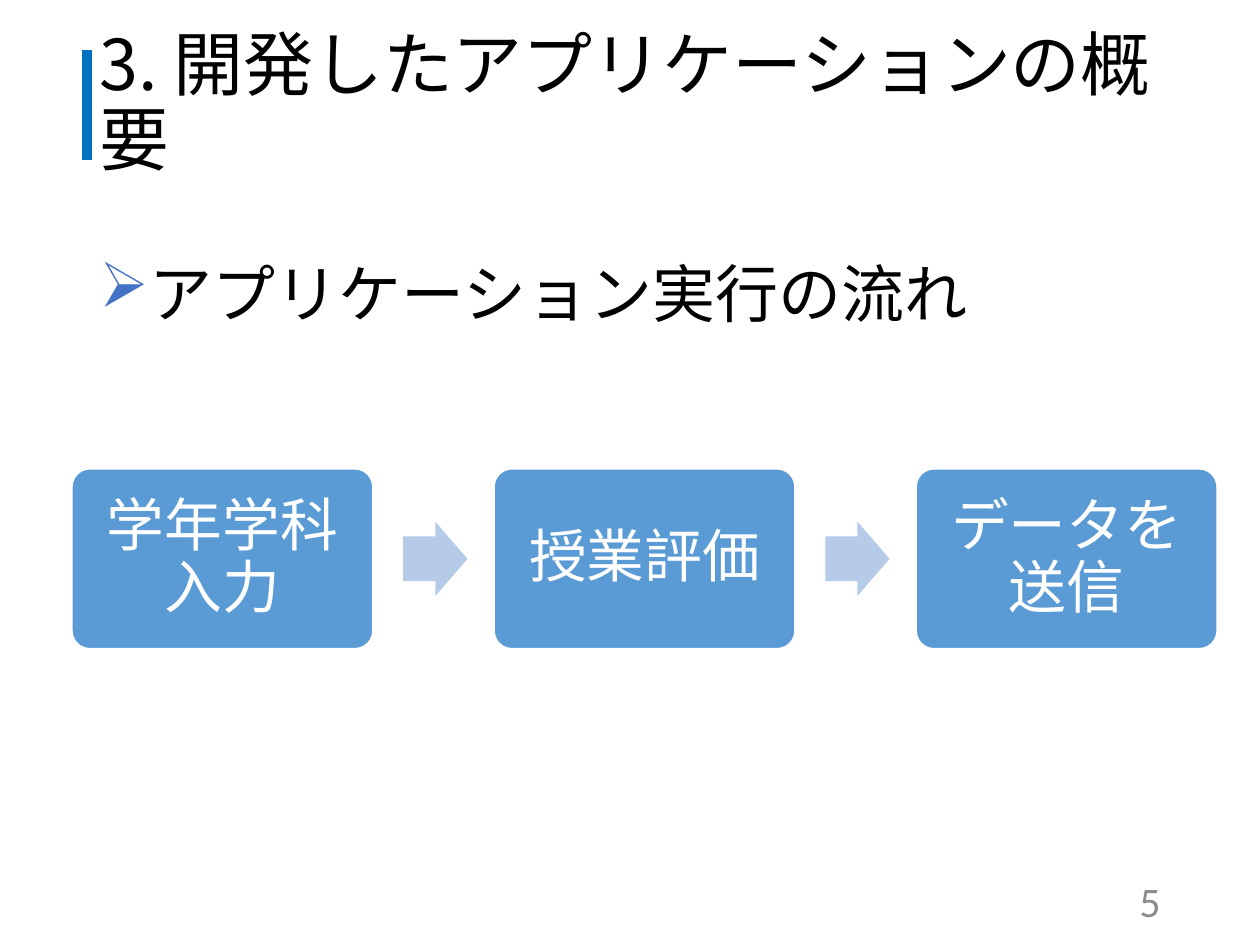
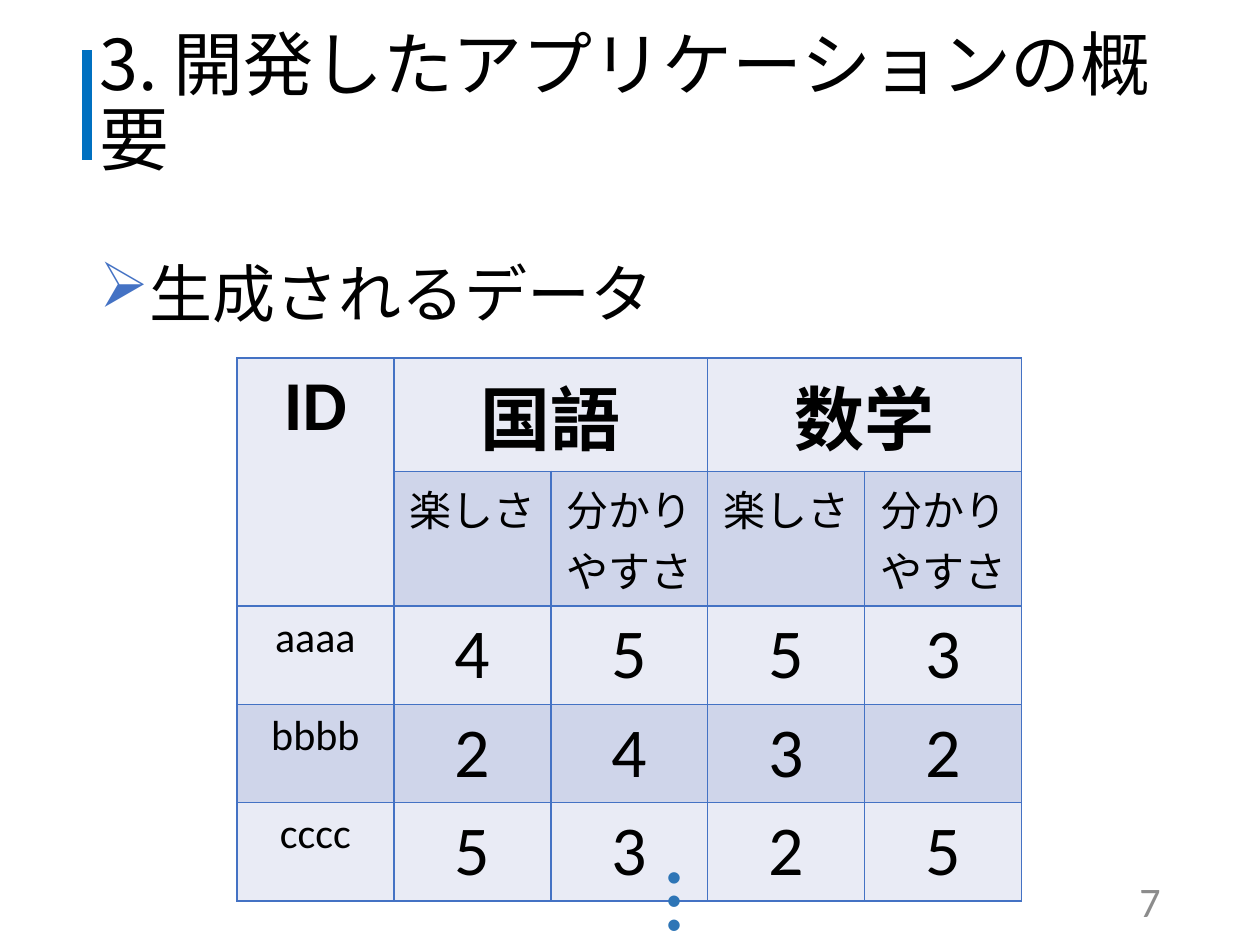
from lxml.etree import SubElement
from pptx import Presentation
from pptx.dml.color import RGBColor
from pptx.enum.shapes import MSO_CONNECTOR as Connector, MSO_SHAPE as Shape
from pptx.enum.text import MSO_ANCHOR as Anchor, MSO_AUTO_SIZE as AutoSize, PP_ALIGN as Align
from pptx.oxml import parse_xml
from pptx.oxml.ns import nsdecls, qn
from pptx.util import Inches, Pt

JAPANESE, LATIN = "Noto Sans CJK JP", "Calibri"
BLACK, WHITE, GRAY = "000000", "FFFFFF", "8C8C8C"
ACCENT, BULLET, BORDER = "0070C0", "4472C4", "4472C4"
STEP, ARROW, DOTS = "5B9BD5", "B5CBE7", "2E75B6"
BANDS = ["E9EBF5", "CFD5EA"]
TITLE = "3. 開発したアプリケーションの概要"
CONTENT_LEFT, CONTENT_WIDTH = 0.69, 8.62

STEPS = ["学年学科入力", "授業評価", "データを送信"]
SUBJECTS = ["国語", "数学"]
QUESTIONS = ["楽しさ", "分かりやすさ"]
ANSWERS = {"aaaa": [4, 5, 5, 3], "bbbb": [2, 4, 3, 2], "cccc": [5, 3, 2, 5]}


def color(value):
    return RGBColor.from_string(value)


def write(frame, text, size, value=BLACK, font=LATIN, align=Align.LEFT, bold=False):
    frame.word_wrap = True
    paragraph = frame.paragraphs[0]
    paragraph.text = text
    paragraph.alignment = align
    paragraph.font.size = Pt(size)
    paragraph.font.bold = bold
    paragraph.font.color.rgb = color(value)
    paragraph.font.name = font
    defaults = paragraph._p.pPr.find(qn("a:defRPr"))
    SubElement(defaults, qn("a:ea")).set("typeface", JAPANESE)
    return paragraph


def add_text(slide, box, text, size, anchor=Anchor.TOP, **style):
    shape = slide.shapes.add_textbox(*map(Inches, box))
    shape.text_frame.vertical_anchor = anchor
    return shape.text_frame, write(shape.text_frame, text, size, **style)


def add_preset(slide, kind, box, fill, adjustments):
    shape = slide.shapes.add_shape(kind, *map(Inches, box))
    shape.shadow.inherit = False
    shape.fill.solid()
    shape.fill.fore_color.rgb = color(fill)
    shape.line.fill.background()
    for index, value in enumerate(adjustments):
        shape.adjustments[index] = value
    return shape


def add_title(slide, left, top, width, height):
    bar = slide.shapes.add_connector(
        Connector.STRAIGHT, *map(Inches, (left, top + height, left, top)))
    bar.line.color.rgb = color(ACCENT)
    bar.line.width = Pt(6)
    SubElement(bar._element.spPr, qn("a:effectLst"))
    _, paragraph = add_text(slide, (left, top, width, height), TITLE, 40,
                            Anchor.MIDDLE, font=JAPANESE)
    paragraph.line_spacing = 0.9


def add_heading(slide, box, text):
    _, paragraph = add_text(slide, box, text, 36, font=JAPANESE)
    paragraph.line_spacing = 1.5
    paragraph.space_before = Pt(10)
    properties = paragraph._p.pPr
    properties.set("marL", str(Inches(0.25)))
    properties.set("indent", str(Inches(-0.25)))
    defaults = properties.find(qn("a:defRPr"))
    for markup in (f'<a:buClr {nsdecls("a")}><a:srgbClr val="{BULLET}"/></a:buClr>',
                   f'<a:buChar {nsdecls("a")} char="➢"/>'):
        defaults.addprevious(parse_xml(markup))


def add_page(presentation, heading, number):
    slide = presentation.slides.add_slide(presentation.slide_layouts[6])
    add_title(slide, CONTENT_LEFT, 0.4, CONTENT_WIDTH, 0.87)
    add_heading(slide, (CONTENT_LEFT, 1.67, CONTENT_WIDTH, 1.17), heading)
    add_text(slide, (7.06, 6.95, 2.25, 0.4), str(number), 24, Anchor.MIDDLE,
             value=GRAY, align=Align.RIGHT)
    return slide


def add_flow(slide, left, top, width, height):
    step_width, arrow_width, arrow_height = 2.39, 0.51, 0.59
    pitch = (width - step_width) / (len(STEPS) - 1)
    for index, text in enumerate(STEPS):
        step_left = left + index * pitch
        step = add_preset(slide, Shape.ROUNDED_RECTANGLE,
                          (step_left, top, step_width, height), STEP, [0.1])
        step.line.color.rgb = color(WHITE)
        step.line.width = Pt(1)
        frame = step.text_frame
        frame.margin_left = frame.margin_right = Inches(0.14)
        frame.margin_top = frame.margin_bottom = Inches(0.14)
        frame.vertical_anchor = Anchor.MIDDLE
        paragraph = write(frame, text, 33, WHITE, align=Align.CENTER)
        paragraph.line_spacing = 0.9
        if index < len(STEPS) - 1:
            add_preset(slide, Shape.RIGHT_ARROW,
                       (step_left + step_width + 0.24, top + (height - arrow_height) / 2,
                        arrow_width, arrow_height), ARROW, [0.6, 0.5])


def style_cell(cell, fill):
    properties = cell._tc.get_or_add_tcPr()
    for side in ("lnL", "lnR", "lnT", "lnB"):
        properties.append(parse_xml(
            f'<a:{side} {nsdecls("a")} w="{Pt(1)}"><a:solidFill>'
            f'<a:srgbClr val="{BORDER}"/></a:solidFill></a:{side}>'))
    cell.fill.solid()
    cell.fill.fore_color.rgb = color(fill)


def add_answers(slide, left, top, width, row_heights):
    column_count = 1 + len(SUBJECTS) * len(QUESTIONS)
    table = slide.shapes.add_table(
        len(row_heights), column_count,
        *map(Inches, (left, top, width, sum(row_heights)))).table
    table.first_row = table.horz_banding = False
    for column in table.columns:
        column.width = Inches(width / column_count)
    for index, height in enumerate(row_heights):
        table.rows[index].height = Inches(height)
        for column in range(column_count):
            style_cell(table.cell(index, column), BANDS[index % 2 if column or index > 1 else 0])

    def fill_cell(row, column, text, size, bold=False):
        write(table.cell(row, column).text_frame, str(text), size,
              align=Align.CENTER, bold=bold)

    table.cell(0, 0).merge(table.cell(1, 0))
    fill_cell(0, 0, "ID", 40, True)
    for index, subject in enumerate(SUBJECTS):
        first = 1 + index * len(QUESTIONS)
        table.cell(0, first).merge(table.cell(0, first + len(QUESTIONS) - 1))
        fill_cell(0, first, subject, 40, True)
        for offset, question in enumerate(QUESTIONS):
            fill_cell(1, first + offset, question, 24)
    for row, (student, scores) in enumerate(ANSWERS.items(), 2):
        fill_cell(row, 0, student, 24)
        for column, score in enumerate(scores, 1):
            fill_cell(row, column, score, 40)


def add_continuation(slide, box):
    frame, _ = add_text(slide, box, "…", 54, value=DOTS)
    frame.auto_size = AutoSize.SHAPE_TO_FIT_TEXT
    frame._txBody.bodyPr.set("vert", "eaVert")


def main():
    presentation = Presentation()
    presentation.slide_width, presentation.slide_height = Inches(10), Inches(7.5)

    flow_slide = add_page(presentation, "アプリケーション実行の流れ", 5)
    add_flow(flow_slide, 0.57, 3.72, 9.09, 1.43)

    data_slide = add_page(presentation, "生成されるデータ", 7)
    add_answers(data_slide, 1.88, 2.84, 6.23, [0.9, 1.07, 0.78, 0.78, 0.78])
    add_continuation(data_slide, (5, 6.8, 1.11, 1.09))

    presentation.save("out.pptx")


if __name__ == "__main__":
    main()
